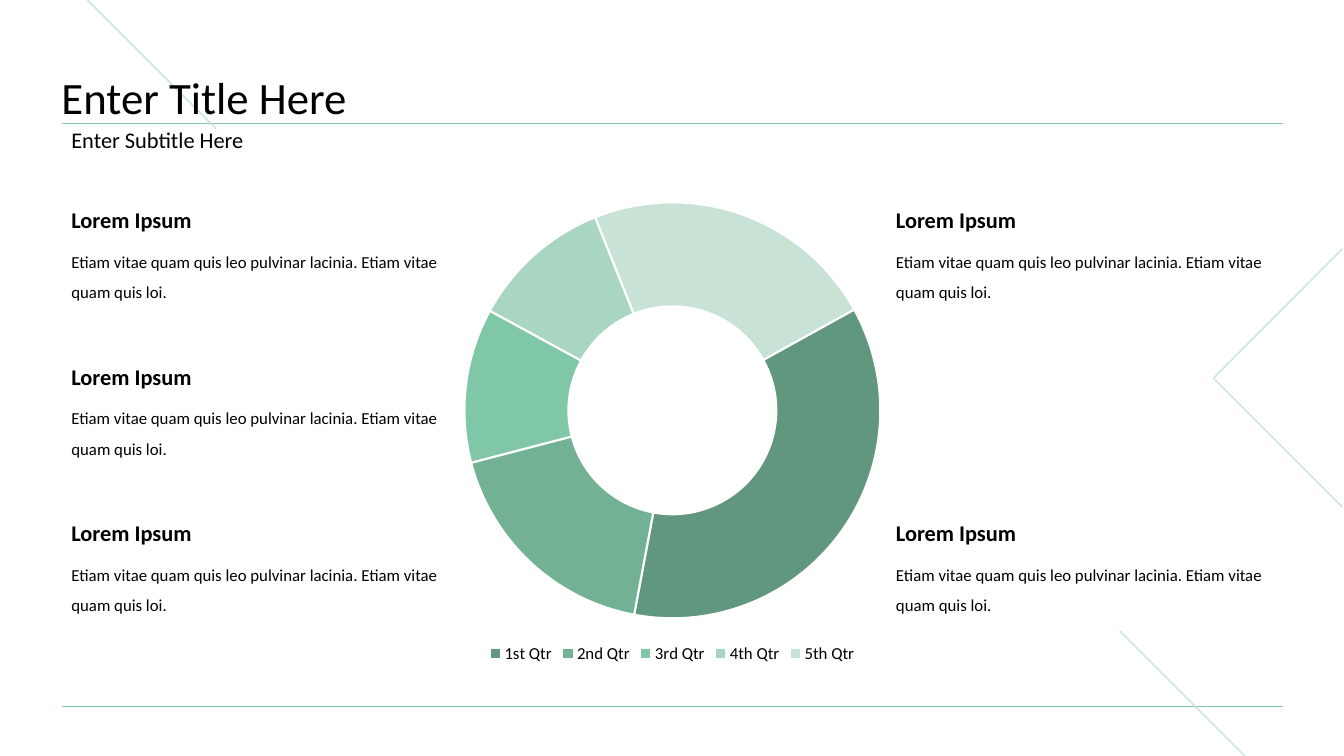
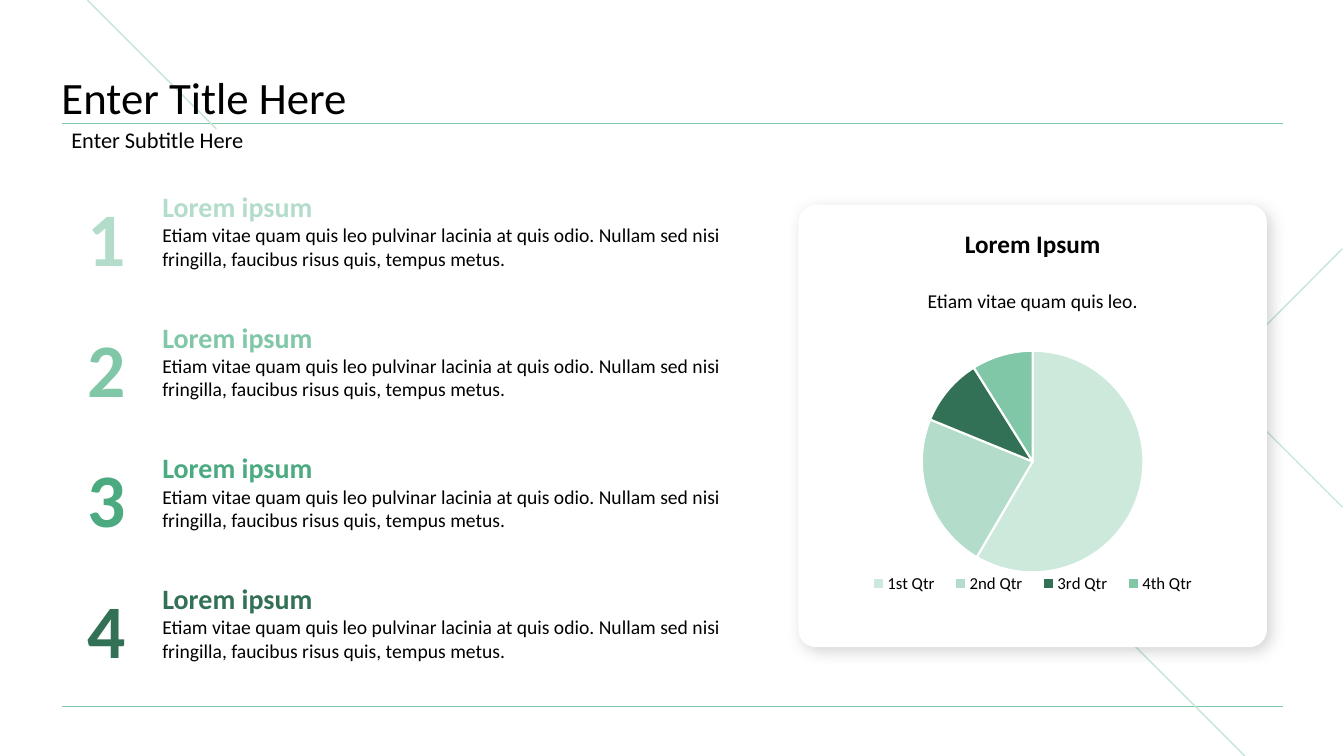
from dataclasses import dataclass

from lxml.etree import SubElement
from pptx import Presentation
from pptx.chart.chart import Chart
from pptx.chart.data import CategoryChartData
from pptx.dml.color import RGBColor
from pptx.enum.chart import XL_CHART_TYPE, XL_LEGEND_POSITION
from pptx.enum.shapes import MSO_CONNECTOR, MSO_SHAPE
from pptx.enum.text import MSO_ANCHOR, PP_ALIGN
from pptx.oxml import parse_xml
from pptx.oxml.ns import nsdecls, qn
from pptx.slide import Slide
from pptx.util import Cm, Pt

FONT = "Calibri"
BLACK = RGBColor(0x00, 0x00, 0x00)
WHITE = RGBColor(0xFF, 0xFF, 0xFF)
RULE_GREEN = RGBColor(0x80, 0xC7, 0xA7)
DECOR_GREEN = RGBColor(0xC6, 0xE6, 0xD7)
MINT = RGBColor(0xB3, 0xDD, 0xCA)
PALE_MINT = RGBColor(0xCC, 0xE9, 0xDC)
LEAF = RGBColor(0x4B, 0xAA, 0x7F)
FOREST = RGBColor(0x32, 0x71, 0x55)
DOUGHNUT_COLORS = (
    RGBColor(0x61, 0x97, 0x7F),
    RGBColor(0x72, 0xB1, 0x94),
    RULE_GREEN,
    RGBColor(0xA9, 0xD6, 0xC0),
    RGBColor(0xC8, 0xE3, 0xD5),
)
PIE_COLORS = (PALE_MINT, MINT, FOREST, RULE_GREEN)
STEP_COLORS = (MINT, RULE_GREEN, LEAF, FOREST)

SLIDE_WIDTH = 33.87
SLIDE_HEIGHT = 19.05
MARGIN = 1.55
CONTENT_WIDTH = 30.78
TITLE_RULE_TOP = 3.12
FOOTER_RULE_TOP = 17.81


@dataclass(frozen=True)
class Box:
    left: float
    top: float
    width: float
    height: float

    def lengths(self) -> tuple[Cm, Cm, Cm, Cm]:
        return Cm(self.left), Cm(self.top), Cm(self.width), Cm(self.height)


@dataclass(frozen=True)
class Line:
    text: str
    size: float
    color: RGBColor = BLACK
    bold: bool = False
    spacing: float = 1.0
    before: float = 0
    align: PP_ALIGN = PP_ALIGN.LEFT


@dataclass(frozen=True)
class RoundChart:
    kind: XL_CHART_TYPE
    box: Box
    values: tuple[int, ...]
    colors: tuple[RGBColor, ...]


@dataclass(frozen=True)
class Stroke:
    start: tuple[float, float]
    end: tuple[float, float]
    color: RGBColor
    width: float


STROKES = (
    Stroke((MARGIN, FOOTER_RULE_TOP), (MARGIN + CONTENT_WIDTH, FOOTER_RULE_TOP), RULE_GREEN, 0.5),
    Stroke((MARGIN, TITLE_RULE_TOP), (MARGIN + CONTENT_WIDTH, TITLE_RULE_TOP), RULE_GREEN, 0.5),
    Stroke((28.22, 15.9), (31.37, SLIDE_HEIGHT), DECOR_GREEN, 1),
    Stroke((2.2, 0), (5.45, 3.25), DECOR_GREEN, 1),
)


def add_text(
    slide: Slide,
    box: Box,
    lines: list[Line],
    anchor: MSO_ANCHOR = MSO_ANCHOR.MIDDLE,
    insets: tuple[float, float] = (0.25, 0.13),
) -> None:
    frame = slide.shapes.add_textbox(*box.lengths()).text_frame
    frame.word_wrap = True
    frame.vertical_anchor = anchor
    frame.margin_left = frame.margin_right = Cm(insets[0])
    frame.margin_top = frame.margin_bottom = Cm(insets[1])
    for index, line in enumerate(lines):
        paragraph = frame.add_paragraph() if index else frame.paragraphs[0]
        paragraph.text = line.text
        paragraph.alignment = line.align
        paragraph.line_spacing = line.spacing
        paragraph.space_before = Pt(line.before)
        paragraph.font.name = FONT
        paragraph.font.size = Pt(line.size)
        paragraph.font.bold = line.bold
        paragraph.font.color.rgb = line.color


def add_stroke(slide: Slide, stroke: Stroke) -> None:
    points = [Cm(value) for value in stroke.start + stroke.end]
    connector = slide.shapes.add_connector(MSO_CONNECTOR.STRAIGHT, *points)
    connector.line.color.rgb = stroke.color
    connector.line.width = Pt(stroke.width)
    SubElement(connector._element.spPr, qn("a:effectLst"))


def add_chevron(slide: Slide) -> None:
    builder = slide.shapes.build_freeform(Cm(33.83), Cm(6.27))
    builder.add_line_segments([(Cm(30.58), Cm(9.53)), (Cm(33.83), Cm(12.78))], close=False)
    chevron = builder.convert_to_shape()
    chevron.shadow.inherit = False
    chevron.fill.background()
    chevron.line.color.rgb = DECOR_GREEN
    chevron.line.width = Pt(1)


def add_base_slide(presentation: Presentation) -> Slide:
    slide = presentation.slides.add_slide(presentation.slide_layouts[6])
    for stroke in STROKES:
        add_stroke(slide, stroke)
    add_chevron(slide)
    add_text(
        slide,
        Box(MARGIN, 1.12, CONTENT_WIDTH, 2.02),
        [Line("Enter Title Here", 32, spacing=0.9)],
        MSO_ANCHOR.BOTTOM,
        (0, 0),
    )
    add_text(
        slide,
        Box(MARGIN, TITLE_RULE_TOP, CONTENT_WIDTH, 0.86),
        [Line("Enter Subtitle Here", 16, spacing=0.9)],
    )
    return slide


def add_round_chart(slide: Slide, spec_chart: RoundChart) -> Chart:
    data = CategoryChartData(number_format="0")
    data.categories = ["1st Qtr", "2nd Qtr", "3rd Qtr", "4th Qtr", "5th Qtr"][: len(spec_chart.values)]
    data.add_series("Series 1", spec_chart.values)
    chart = slide.shapes.add_chart(spec_chart.kind, *spec_chart.box.lengths(), data).chart
    chart.has_title = False
    chart.font.name = FONT
    chart.font.size = Pt(10)
    chart.font.color.rgb = BLACK
    chart.has_legend = True
    chart.legend.position = XL_LEGEND_POSITION.BOTTOM
    chart.legend.include_in_layout = False
    chart.legend.font.name = FONT
    chart.legend.font.size = Pt(12)
    chart.legend.font.color.rgb = BLACK
    plot = chart.plots[0]
    plot.vary_by_categories = True
    for index, color in enumerate(spec_chart.colors):
        point = plot.series[0].points[index]
        point.format.fill.solid()
        point.format.fill.fore_color.rgb = color
        point.format.line.color.rgb = WHITE
        point.format.line.width = Pt(1.5)
    return chart


def set_layout(parent, position: int, frame: tuple[float, ...], inner: bool = False) -> None:
    for present in parent.findall(qn("c:layout")):
        parent.remove(present)
    target = '<c:layoutTarget val="inner"/>' if inner else ""
    modes = '<c:xMode val="edge"/><c:yMode val="edge"/>'
    sizes = "".join(f'<c:{name} val="{value}"/>' for name, value in zip("xywh", frame))
    layout = parse_xml(
        f"<c:layout {nsdecls('c')}><c:manualLayout>{target}{modes}{sizes}</c:manualLayout></c:layout>"
    )
    parent.insert(position, layout)


def add_topic(slide: Slide, left: float, row: int) -> None:
    top = 5.06 + row * 3.95
    add_text(
        slide,
        Box(left, top, 9.98, 0.84),
        [Line("Lorem Ipsum", 16, bold=True, spacing=1.15)],
        insets=(0.25, 0.25),
    )
    add_text(
        slide,
        Box(left, top + 0.86, 9.98, 1.85),
        [Line("Etiam vitae quam quis leo pulvinar lacinia. Etiam vitae quam quis loi.", 12, spacing=1.5)],
    )


def add_step(slide: Slide, row: int, color: RGBColor) -> None:
    offset = row * 3.29
    add_text(
        slide,
        Box(4.09, 4.78 + offset, 14.96, 2.03),
        [
            Line("Lorem ipsum", 20, color, bold=True),
            Line(
                "Etiam vitae quam quis leo pulvinar lacinia at quis odio. "
                "Nullam sed nisi fringilla, faucibus risus quis, tempus metus.",
                14,
            ),
        ],
        MSO_ANCHOR.TOP,
        (0, 0),
    )
    add_text(
        slide,
        Box(1.96, 3.71 + offset, 1.75, 3.35),
        [Line(str(row + 1), 54, color, bold=True, spacing=1.5)],
    )


def add_card(slide: Slide) -> None:
    card = slide.shapes.add_shape(MSO_SHAPE.ROUNDED_RECTANGLE, *Box(20.12, 5.16, 11.81, 11.15).lengths())
    card.adjustments[0] = 0.04
    card.fill.solid()
    card.fill.fore_color.rgb = WHITE
    card.line.fill.background()
    card.shadow.inherit = False
    effects = card._element.spPr.find(qn("a:effectLst"))
    shadow = SubElement(
        effects, qn("a:outerShdw"), blurRad=str(Pt(11)), dist=str(Pt(4)), dir="2700000", algn="tl"
    )
    color = SubElement(shadow, qn("a:srgbClr"), val=str(BLACK))
    SubElement(color, qn("a:alpha"), val="16000")


def build_doughnut_slide(presentation: Presentation) -> None:
    slide = add_base_slide(presentation)
    chart = add_round_chart(
        slide,
        RoundChart(
            XL_CHART_TYPE.DOUGHNUT, Box(9.02, 4.75, 15.85, 12.07), (36, 18, 12, 11, 23), DOUGHNUT_COLORS
        ),
    )
    doughnut = chart.plots[0]._element
    doughnut.find(qn("c:firstSliceAng")).set("val", "61")
    doughnut.find(qn("c:holeSize")).set("val", "57")
    for left, rows in ((MARGIN, (0, 1, 2)), (22.33, (0, 2))):
        for row in rows:
            add_topic(slide, left, row)


def build_pie_slide(presentation: Presentation) -> None:
    slide = add_base_slide(presentation)
    add_card(slide)
    chart = add_round_chart(
        slide,
        RoundChart(XL_CHART_TYPE.PIE, Box(20.78, 7.98, 10.49, 7.16), (59, 23, 10, 9), PIE_COLORS),
    )
    set_layout(chart._chartSpace.chart.plotArea, 0, (0.11, 0.12, 0.78, 0.78), inner=True)
    set_layout(chart.legend._element, 1, (0.08, 0.89, 0.84, 0.1))
    add_text(
        slide,
        Box(22.28, 5.64, 7.49, 2.36),
        [
            Line("Lorem Ipsum", 18, bold=True, align=PP_ALIGN.CENTER),
            Line("Etiam vitae quam quis leo.", 14, before=22, align=PP_ALIGN.CENTER),
        ],
        insets=(0.33, 0.33),
    )
    for row, color in enumerate(STEP_COLORS):
        add_step(slide, row, color)


def main() -> None:
    presentation = Presentation()
    presentation.slide_width = Cm(SLIDE_WIDTH)
    presentation.slide_height = Cm(SLIDE_HEIGHT)
    build_doughnut_slide(presentation)
    build_pie_slide(presentation)
    presentation.save("out.pptx")


if __name__ == "__main__":
    main()
